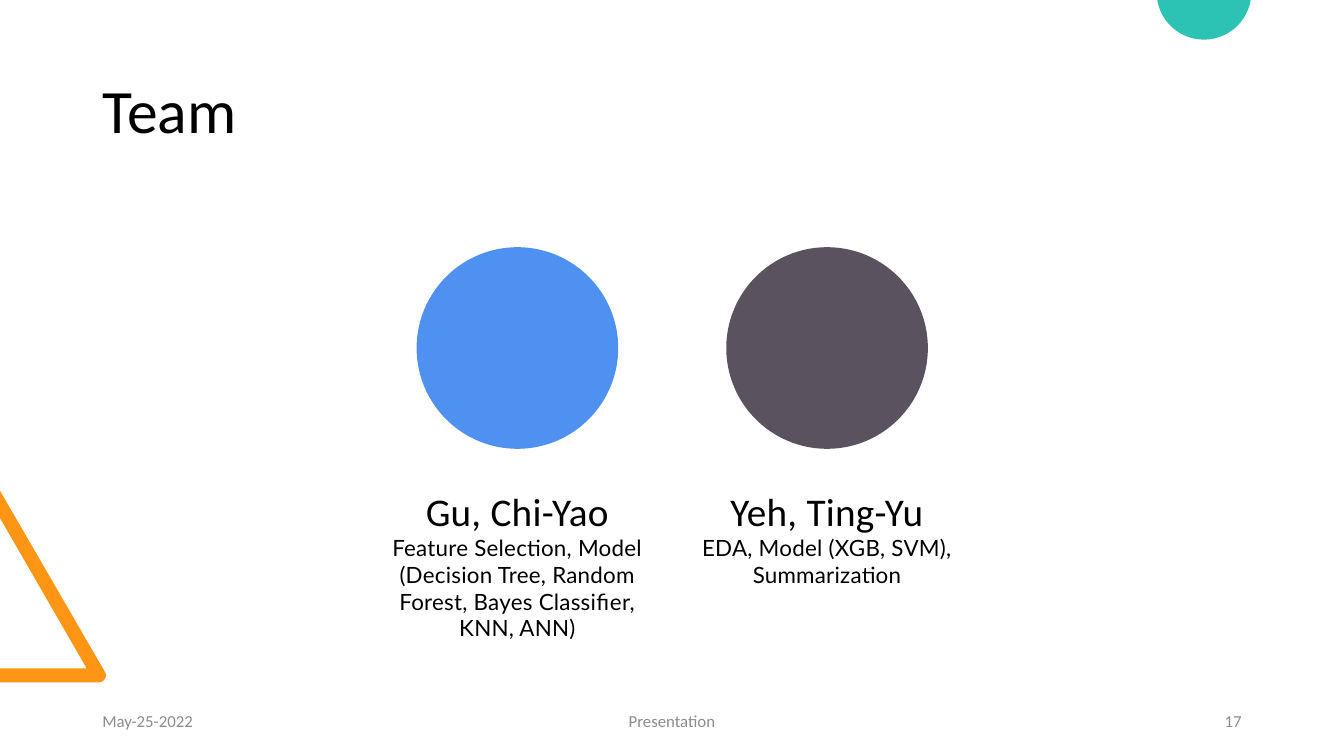
from math import cos, sin, radians
from pptx import Presentation
from pptx.util import Pt
from pptx.dml.color import RGBColor as RGB
from pptx.enum.shapes import MSO_SHAPE as Shape
from pptx.enum.text import PP_ALIGN as Align, MSO_ANCHOR as Anchor

BLACK = RGB(0x00, 0x00, 0x00)
GRAY = RGB(0x8C, 0x8C, 0x8C)
ORANGE = RGB(0xFF, 0x95, 0x14)
TEAL = RGB(0x2C, 0xC3, 0xB4)
BLUE = RGB(0x4E, 0x91, 0xF0)
PLUM = RGB(0x5B, 0x52, 0x60)


def arc(x, y, r, start, end):
    """Points on a circle, one every three degrees."""
    return [(x + r * cos(radians(a)), y + r * sin(radians(a)))
            for a in range(start, end + 1, 3)]


def paint(shape, color):
    shape.shadow.inherit = False
    shape.fill.solid()
    shape.fill.fore_color.rgb = color
    shape.line.fill.background()


deck = Presentation()
deck.slide_width, deck.slide_height = Pt(960), Pt(540)
slide = deck.slides.add_slide(deck.slide_layouts[5])
shapes = slide.shapes

# Edge ornaments: rounded triangle corner and cut circle
corner = [(0, 487.4), (0, 477.4), (61.9, 477.4), (0, 370.1), (0, 350.6)]
corner += arc(70.6, 482.4, 5, -30, 90)
disc = arc(860, -5.5, 33.8, 9, 171)
for points, color in ((corner, ORANGE), (disc, TEAL)):
    path = [(round(x * 100), round(y * 100)) for x, y in points]
    pen = shapes.build_freeform(*path[0], scale=Pt(1) / 100)
    pen.add_line_segments(path[1:], close=True)
    paint(pen.convert_to_shape(), color)

# Title
title = shapes.title
title.left, title.top, title.width, title.height = Pt(66), Pt(28.75), Pt(828), Pt(104.4)
title.text_frame.text = "Team"
title.text_frame.vertical_anchor = Anchor.MIDDLE
para = title.text_frame.paragraphs[0]
para.alignment = Align.LEFT
para.line_spacing = 0.9
para.font.name, para.font.size = "Calibri", Pt(44)
para.font.color.rgb = BLACK

# Team members: a disc with name and tasks below
team = [
    ("Gu, Chi-Yao", "Feature Selection, Model (Decision Tree, Random Forest, "
     "Bayes Classifier, KNN, ANN)", BLUE),
    ("Yeh, Ting-Yu", "EDA, Model (XGB, SVM), Summarization", PLUM),
]
SIZE, WIDE, STEP = 144, 188, 221.2
for i, (name, tasks, color) in enumerate(team):
    mid = 369.6 + i * STEP
    paint(shapes.add_shape(Shape.OVAL, Pt(mid - SIZE / 2), Pt(176.6),
                           Pt(SIZE), Pt(SIZE)), color)
    frame = shapes.add_textbox(Pt(mid - WIDE / 2), Pt(347.8), Pt(WIDE), Pt(38)).text_frame
    frame.word_wrap = True
    frame.margin_left = frame.margin_right = frame.margin_top = frame.margin_bottom = 0
    para = frame.paragraphs[0]
    para.alignment = Align.CENTER
    for text, font, size in ((name, "Calibri", 28), (tasks, "Lato", 16)):
        if para.runs:
            para.add_line_break()
        run = para.add_run()
        run.text = text
        run.font.name, run.font.size = font, Pt(size)
        run.font.color.rgb = BLACK
        run._r.get_or_add_rPr().set("spc", "20")

# Footer
for text, left, width, align in (("May-25-2022", 66, 216, Align.LEFT),
                                 ("Presentation", 318, 324, Align.CENTER),
                                 ("17", 678, 216, Align.RIGHT)):
    frame = shapes.add_textbox(Pt(left), Pt(500.5), Pt(width), Pt(28.75)).text_frame
    frame.word_wrap = True
    frame.vertical_anchor = Anchor.MIDDLE
    para = frame.paragraphs[0]
    para.text = text
    para.alignment = align
    para.font.name, para.font.size = "Calibri", Pt(12)
    para.font.color.rgb = GRAY

deck.save("out.pptx")
